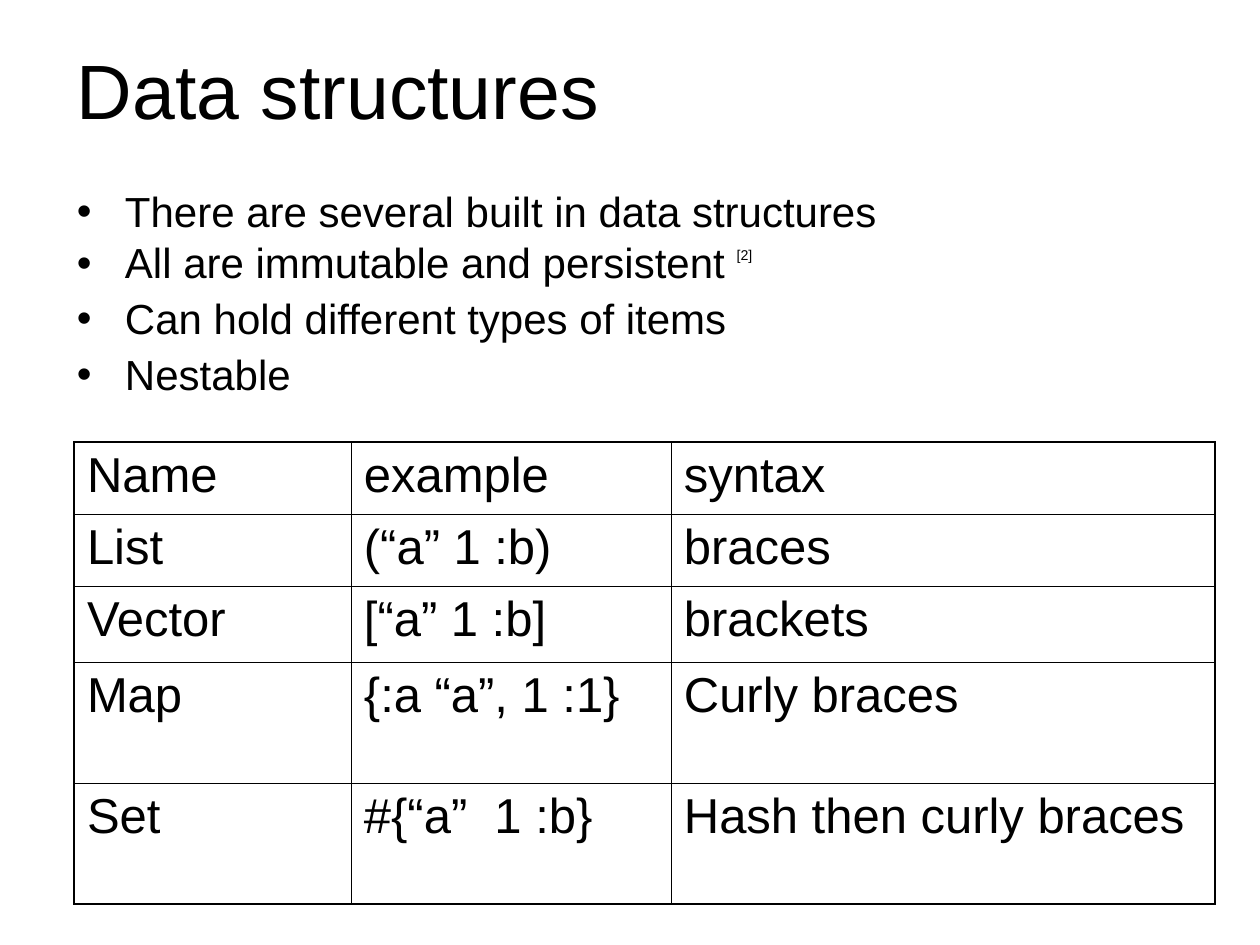
import pptx
import pptx.dml.color
import pptx.enum.text
import pptx.oxml
import pptx.oxml.ns
import pptx.util

PX = 914400 / 126
BLACK, WHITE = "000000", "FFFFFF"
MARGINS = {"left": 13, "top": 6, "right": 13, "bottom": 6}
BULLETS = [
    ([("There are several built in data structures", {})], 0),
    ([("All are immutable and persistent ", {}), ("[2]", {"size": 14, "baseline": 76})], 3.5),
    ([("Can hold different types of items", {})], 6),
    ([("Nestable", {})], 6),
]
ROWS = [
    ("Name", "example", "syntax"),
    ("List", "(“a” 1 :b)", "braces"),
    ("Vector", "[“a” 1 :b]", "brackets"),
    ("Map", "{:a “a”, 1 :1}", "Curly braces"),
    ("Set", "#{“a”  1 :b}", "Hash then curly braces"),
]


def px(length):
    return round(length * PX)


def color(value):
    return pptx.dml.color.RGBColor.from_string(value)


def add_xml(parent, position, markup):
    head, tail = markup.split(" ", 1)
    element = pptx.oxml.parse_xml(f'{head} {pptx.oxml.ns.nsdecls("a")} {tail}')
    parent.insert(position, element)


class SlideBuilder:
    """Holds the text style and the current slide, and adds elements to it."""

    def __init__(self, slide, font="Arial"):
        self.slide = slide
        self.font = font

    def add_span(self, para, text, size, baseline=0):
        span = para.add_run()
        span.text = text
        style = {"name": self.font, "size": pptx.util.Pt(size)}
        for name, value in style.items():
            setattr(span.font, name, value)
        span.font.color.rgb = color(BLACK)
        if baseline:
            span._r.get_or_add_rPr().set("baseline", str(baseline * 1000))

    def frame(self, left, top, width, height, anchor):
        box = self.slide.shapes.add_textbox(px(left), px(top), px(width), px(height))
        frame = box.text_frame
        style = {"word_wrap": True, "vertical_anchor": anchor}
        style.update({f"margin_{side}": px(gap) for side, gap in MARGINS.items()})
        for name, value in style.items():
            setattr(frame, name, value)
        return frame

    def title(self, text, left, top, width, height, size):
        frame = self.frame(left, top, width, height, pptx.enum.text.MSO_ANCHOR.MIDDLE)
        self.add_span(frame.paragraphs[0], text, size)

    def bullets(self, items, left, top, width, height, size, indent):
        frame = self.frame(left, top, width, height, pptx.enum.text.MSO_ANCHOR.TOP)
        for index, (spans, space) in enumerate(items):
            para = frame.add_paragraph() if index else frame.paragraphs[0]
            properties = para._p.get_or_add_pPr()
            properties.set("marL", str(px(indent)))
            properties.set("indent", str(-px(indent)))
            add_xml(properties, 0, f'<a:buFont typeface="{self.font}"/>')
            add_xml(properties, 1, '<a:buChar char="•"/>')
            para.line_spacing = 0.9
            para.space_before = pptx.util.Pt(space)
            for text, style in spans:
                self.add_span(para, text, **{"size": size, **style})

    def borders(self, cell, outer):
        properties = cell._tc.get_or_add_tcPr()
        for index, side in enumerate("LRTB"):
            width = pptx.util.Pt(1.08 if side in outer else 0.45)
            add_xml(properties, index, f'<a:ln{side} w="{width}"><a:solidFill>'
                    f'<a:srgbClr val="{BLACK}"/></a:solidFill></a:ln{side}>')

    def table(self, rows, left, top, widths, heights, size):
        table = self.slide.shapes.add_table(
            len(rows), len(widths), px(left), px(top), px(sum(widths)), px(sum(heights))).table
        table.first_row = table.horz_banding = False
        for column, width in zip(table.columns, widths):
            column.width = px(width)
        for row, height in zip(table.rows, heights):
            row.height = px(height)
        last_row, last_column = len(rows) - 1, len(widths) - 1
        for r, texts in enumerate(rows):
            for c, text in enumerate(texts):
                cell = table.cell(r, c)
                cell.fill.solid()
                cell.fill.fore_color.rgb = color(WHITE)
                for side, gap in MARGINS.items():
                    setattr(cell, f"margin_{side}", px(gap))
                self.add_span(cell.text_frame.paragraphs[0], text, size)
                edges = {"L": c == 0, "R": c == last_column, "T": r == 0, "B": r == last_row}
                self.borders(cell, [side for side, is_outer in edges.items() if is_outer])


def main():
    deck = pptx.Presentation()
    deck.slide_width, deck.slide_height = px(1260), px(945)
    builder = SlideBuilder(deck.slides.add_slide(deck.slide_layouts[6]))
    builder.title("Data structures", 64, 10, 1134, 158, size=44)
    builder.bullets(BULLETS, 64, 185, 1172, 238, size=24, indent=48)
    builder.table(ROWS, 74, 442, [277, 320, 544], [72, 72, 76, 121, 121], size=28)
    deck.save("out.pptx")


if __name__ == "__main__":
    main()
